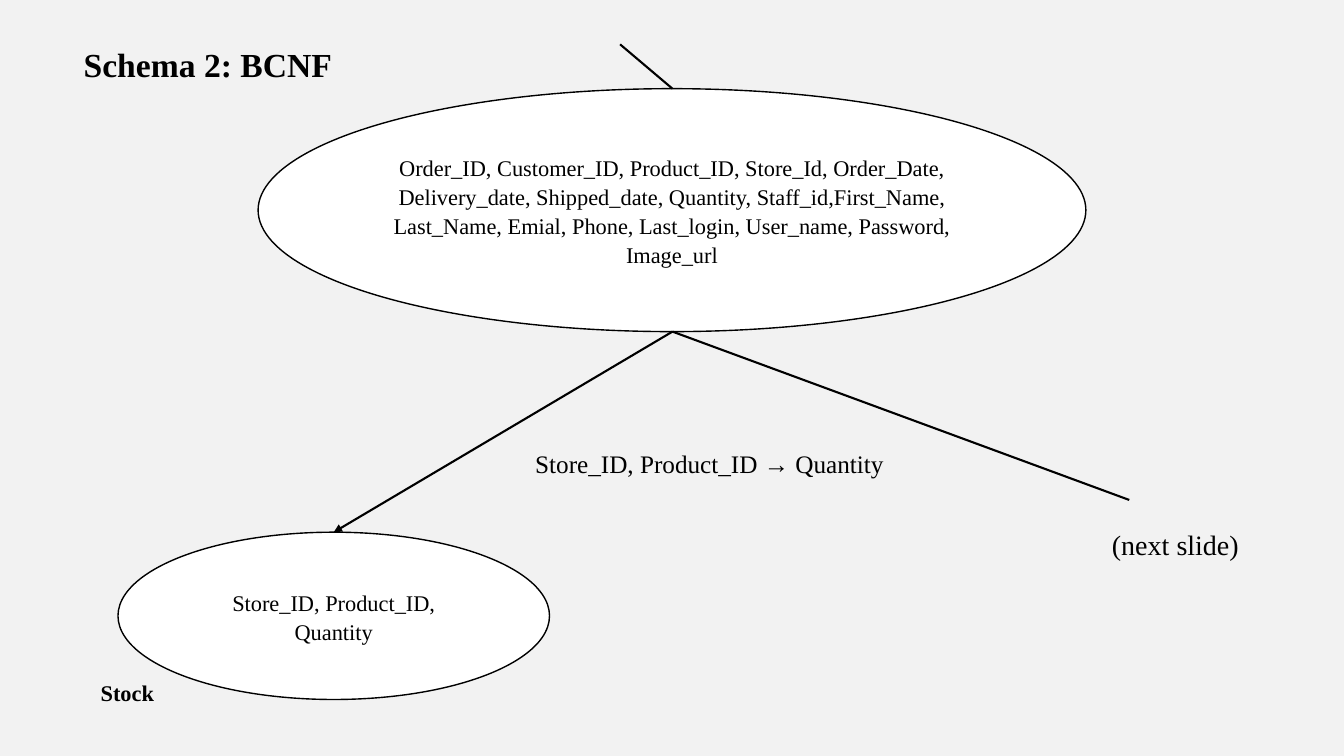
from dataclasses import dataclass

from lxml.etree import SubElement
from pptx import Presentation
from pptx.dml.color import RGBColor as RGB
from pptx.enum.shapes import MSO_CONNECTOR as Link, MSO_SHAPE as Form
from pptx.enum.text import MSO_ANCHOR as Anchor, MSO_AUTO_SIZE as Fit, PP_ALIGN as Align
from pptx.oxml.ns import qn
from pptx.slide import Slide
from pptx.text.text import TextFrame
from pptx.util import Inches, Pt

COLORS = {"back": "F2F2F2", "node": "FFFFFF", "ink": "000000"}
FONT = "Times New Roman"


@dataclass
class Box:
    left: float
    top: float
    width: float
    height: float
    text: str
    size: int = 16
    bold: bool = False

    def place(self) -> list[int]:
        return [Inches(v) for v in (self.left, self.top, self.width, self.height)]


@dataclass
class Edge:
    start: tuple[float, float]
    end: tuple[float, float]
    arrow: bool = False


TITLE = Box(0.73, 0.39, 2.69, 0.81, "Schema 2: BCNF", 24, True)
NODES = [
    Box(2.56, 0.88, 8.21, 2.41,
        "Order_ID, Customer_ID, Product_ID, Store_Id, Order_Date, "
        "Delivery_date, Shipped_date, Quantity, Staff_id,First_Name, "
        "Last_Name, Emial, Phone, Last_login, User_name, Password, Image_url"),
    Box(1.17, 5.28, 4.28, 1.66, "Store_ID, Product_ID, Quantity"),
]
LABELS = [
    Box(10.93, 5.18, 1.8, 0.44, "(next slide)", 20),
    Box(5.21, 4.4, 5.03, 0.4, "Store_ID, Product_ID → Quantity", 18),
    Box(0.9, 6.69, 1.43, 0.37, "Stock", 16, True),
]
EDGES = [
    Edge((6.67, 3.29), (3.31, 5.28), arrow=True),
    Edge((6.67, 3.29), (11.2, 4.96)),
    Edge((6.67, 0.88), (6.15, 0.44)),
]


def color(name: str) -> RGB:
    return RGB.from_string(COLORS[name])


def write(frame: TextFrame, box: Box, align: Align = Align.LEFT) -> None:
    frame.text = box.text
    para = frame.paragraphs[0]
    para.alignment = align
    font = para.font
    font.name, font.size, font.bold = FONT, Pt(box.size), box.bold
    font.color.rgb = color("ink")


def add_title(slide: Slide, box: Box) -> None:
    title = slide.shapes.title
    title.left, title.top, title.width, title.height = box.place()
    frame = title.text_frame
    frame.word_wrap = False
    frame.auto_size = Fit.NONE
    frame.vertical_anchor = Anchor.TOP
    write(frame, box)


def add_node(slide: Slide, box: Box) -> None:
    node = slide.shapes.add_shape(Form.OVAL, *box.place())
    node.shadow.inherit = False
    node.fill.solid()
    node.fill.fore_color.rgb = color("node")
    node.line.color.rgb = color("ink")
    node.line.width = Pt(1)
    frame = node.text_frame
    frame.word_wrap = True
    frame.vertical_anchor = Anchor.MIDDLE
    frame.margin_left = frame.margin_right = Inches(0.13)
    frame.margin_top = frame.margin_bottom = Inches(0.07)
    write(frame, box, Align.CENTER)
    frame.paragraphs[0].line_spacing = 1.07
    frame.paragraphs[0].space_after = Pt(10.7)


def add_edge(slide: Slide, edge: Edge) -> None:
    ends = [Inches(v) for v in edge.start + edge.end]
    link = slide.shapes.add_connector(Link.STRAIGHT, *ends)
    link.line.color.rgb = color("ink")
    link.line.width = Pt(1.5)
    if edge.arrow:
        SubElement(link.line._get_or_add_ln(), qn("a:tailEnd"), type="triangle")
    SubElement(link._element.spPr, qn("a:effectLst"))


def add_label(slide: Slide, box: Box) -> None:
    frame = slide.shapes.add_textbox(*box.place()).text_frame
    frame.word_wrap = True
    frame.auto_size = Fit.SHAPE_TO_FIT_TEXT
    write(frame, box)


def main() -> None:
    deck = Presentation()
    deck.slide_width, deck.slide_height = Inches(13.33), Inches(7.5)
    slide = deck.slides.add_slide(deck.slide_layouts.get_by_name("Title Only"))
    back = slide.background.fill
    back.solid()
    back.fore_color.rgb = color("back")
    add_title(slide, TITLE)
    for node in NODES:
        add_node(slide, node)
    for edge in EDGES:
        add_edge(slide, edge)
    for label in LABELS:
        add_label(slide, label)
    deck.save("out.pptx")


if __name__ == "__main__":
    main()
